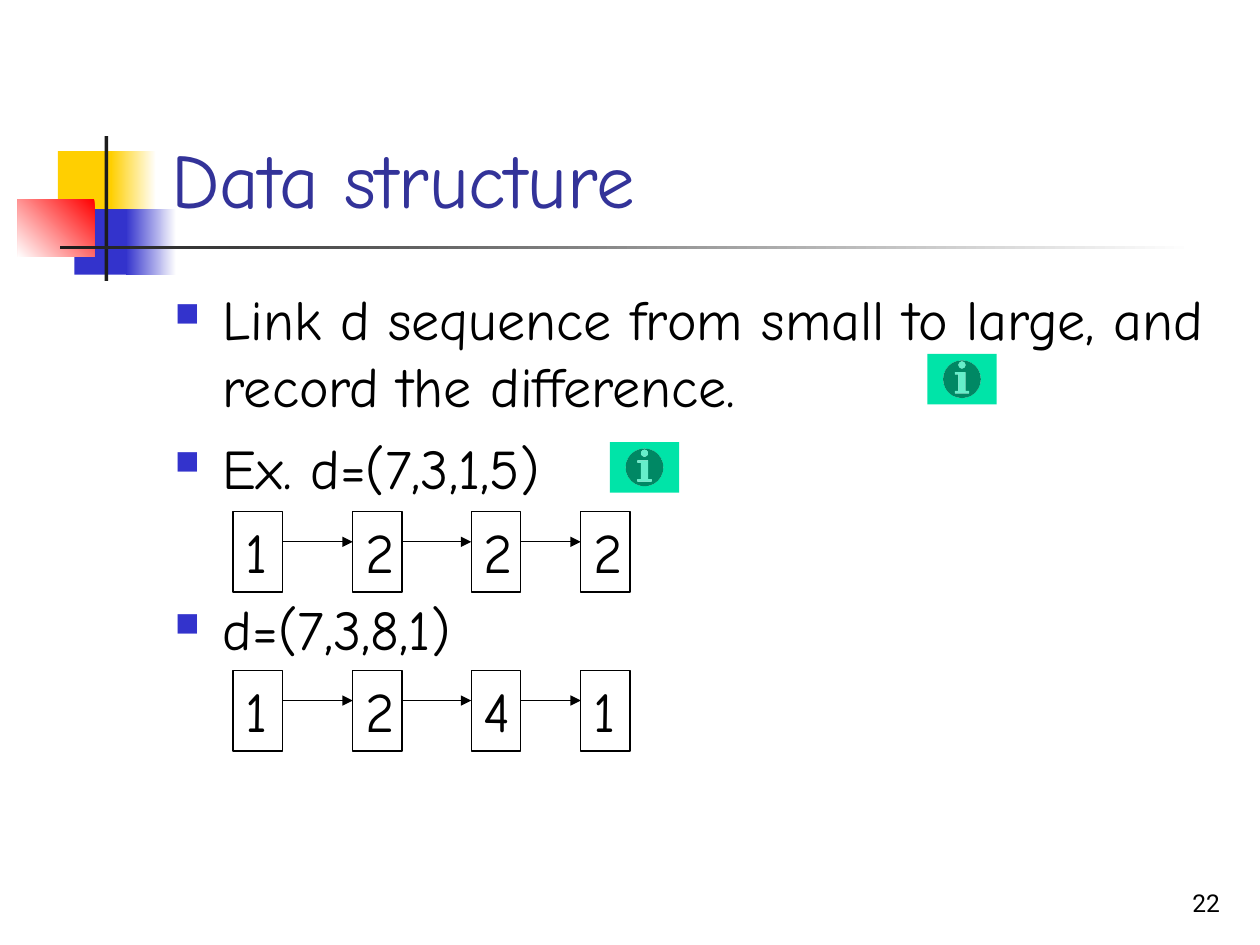
import pptx
import pptx.dml.color
import pptx.enum.shapes
import pptx.enum.text
import pptx.oxml.ns
import pptx.util
from lxml import etree

Inches = pptx.util.Inches
Pt = pptx.util.Pt
SHAPE = pptx.enum.shapes.MSO_SHAPE
ANCHOR = pptx.enum.text.MSO_ANCHOR
ALIGN = pptx.enum.text.PP_ALIGN

THEME = {
    "yellow": "FFCF01", "blue": "3333CC", "red": "FF0000", "dark": "1C1C1C",
    "white": "FFFFFF", "ink": "000000", "title": "333399", "button": "00E4A8",
    "font": "Comic Neue", "number_font": "Roboto",
    "title_size": 44, "body_size": 32, "number_size": 14,
}

TITLE = "Data structure"
BULLETS = [
    ("Link d sequence from small to large, and record the difference.", 0),
    ("Ex. d=(7,3,1,5)", 8),
    ("d=(7,3,8,1)", 54),
]
CHAINS = [(4.06, "1222"), (5.32, "1241")]
NODE_LEFTS = [1.85, 2.8, 3.74, 4.61]
NODE_WIDTH, NODE_HEIGHT, LINK_DROP = 0.39, 0.64, 0.24
INFO_BUTTONS = [(7.36, 2.81), (4.84, 3.51)]
PAGE_NUMBER = "22"

ORNAMENTS = [
    ((0.46, 1.2, 0.48, 0.52), ["yellow"], 0),
    ((0.88, 1.2, 0.36, 0.52), ["white", "yellow"], 180),
    ((0.59, 1.66, 0.46, 0.52), ["blue"], 0),
    ((1, 1.66, 0.4, 0.52), ["white", "blue"], 180),
    ((0.14, 1.58, 0.61, 0.46), ["red", "white"], 225),
    ((0.83, 1.08, 0.03, 1.15), ["dark"], 0),
    ((0.48, 1.95, 9, 0.03), ["white", "dark"], 180),
]


def rgb(name):
    return pptx.dml.color.RGBColor.from_string(THEME[name])


def add_element(parent, tag, **attributes):
    return etree.SubElement(parent, pptx.oxml.ns.qn(tag), **attributes)


def add_bullet(paragraph):
    properties = paragraph._p.get_or_add_pPr()
    properties.set("marL", str(Inches(0.38)))
    properties.set("indent", str(Inches(-0.38)))
    add_element(add_element(properties, "a:buClr"), "a:srgbClr", val=THEME["blue"])
    add_element(properties, "a:buSzPct", val="60000")
    add_element(properties, "a:buChar", char="■")


def write(holder, paragraphs, size="body_size", font="font", color="ink",
          anchor=ANCHOR.TOP, align=ALIGN.LEFT, bullet=False):
    frame = holder.text_frame
    frame.word_wrap = True
    frame.vertical_anchor = anchor
    for index, (text, space_before) in enumerate(paragraphs):
        paragraph = frame.add_paragraph() if index else frame.paragraphs[0]
        paragraph.text = text
        paragraph.alignment = align
        if bullet:
            add_bullet(paragraph)
        paragraph.space_before = Pt(space_before)
        for target in (paragraph.font, paragraph.runs[0].font):
            target.name = THEME[font]
            target.size = Pt(THEME[size])
            target.color.rgb = rgb(color)


def add_block(slide, place, colors, angle=0, preset=SHAPE.RECTANGLE, outline=None):
    block = slide.shapes.add_shape(preset, *map(Inches, place))
    block.shadow.inherit = False
    if len(colors) == 2:
        block.fill.gradient()
        block.fill.gradient_angle = angle
        for stop, color in zip(block.fill.gradient_stops, colors):
            stop.color.rgb = rgb(color)
    elif colors:
        block.fill.solid()
        block.fill.fore_color.rgb = rgb(colors[0])
    else:
        block.fill.background()
    if outline:
        block.line.color.rgb = rgb(outline)
        block.line.width = Pt(0.75)
    else:
        block.line.fill.background()
    return block


def add_link(slide, start, end, y):
    link = slide.shapes.add_connector(
        pptx.enum.shapes.MSO_CONNECTOR.STRAIGHT,
        Inches(start), Inches(y), Inches(end), Inches(y))
    link.line.color.rgb = rgb("ink")
    link.line.width = Pt(0.75)
    add_element(link.line._get_or_add_ln(), "a:tailEnd", type="triangle")
    add_element(link._element.spPr, "a:effectLst")


def add_textbox(slide, *place):
    return slide.shapes.add_textbox(*map(Inches, place))


def main():
    deck = pptx.Presentation()
    deck.slide_width, deck.slide_height = Inches(10), Inches(7.5)
    slide = deck.slides.add_slide(deck.slide_layouts[6])

    for place, colors, angle in ORNAMENTS:
        add_block(slide, place, colors, angle)

    write(add_textbox(slide, 1.26, 0.23, 8.52, 1.6), [(TITLE, 0)],
          size="title_size", color="title", anchor=ANCHOR.BOTTOM)
    write(add_textbox(slide, 1.29, 2.21, 8.5, 4.5), BULLETS, bullet=True)

    for top, differences in CHAINS:
        for left, difference in zip(NODE_LEFTS, differences):
            node = add_block(slide, (left, top, NODE_WIDTH, NODE_HEIGHT), [], outline="ink")
            write(node, [(difference, 0)])
        for left, following in zip(NODE_LEFTS, NODE_LEFTS[1:]):
            add_link(slide, left + NODE_WIDTH, following, top + LINK_DROP)

    for left, top in INFO_BUTTONS:
        add_block(slide, (left, top, 0.55, 0.4), ["button"],
                  preset=SHAPE.ACTION_BUTTON_INFORMATION)

    write(add_textbox(slide, 7.7, 6.83, 2.08, 0.5), [(PAGE_NUMBER, 0)],
          size="number_size", font="number_font", anchor=ANCHOR.BOTTOM, align=ALIGN.RIGHT)
    deck.save("out.pptx")


if __name__ == "__main__":
    main()
